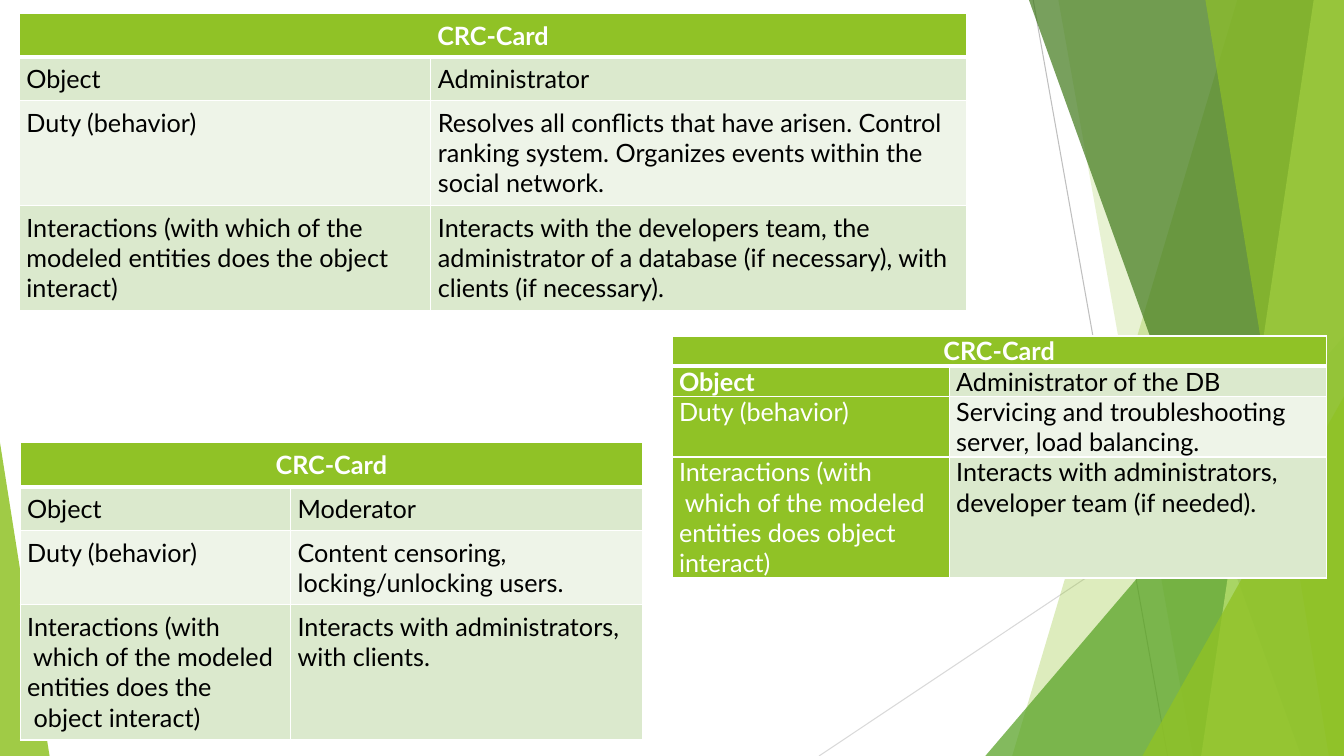
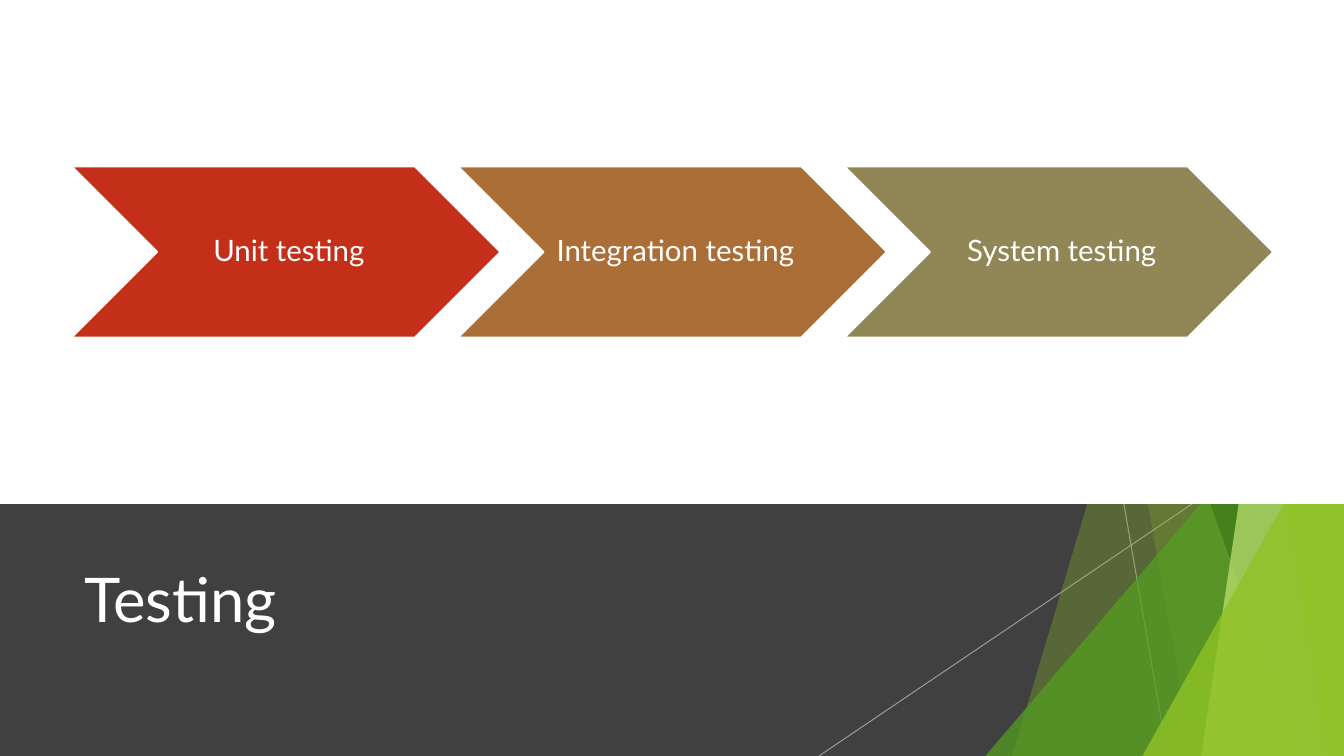
from pptx import Presentation
from pptx.dml.color import RGBColor
from pptx.enum.shapes import MSO_CONNECTOR, MSO_SHAPE
from pptx.enum.text import MSO_ANCHOR, PP_ALIGN
from pptx.oxml import parse_xml
from pptx.oxml.ns import nsdecls, qn
from pptx.oxml.xmlchemy import OxmlElement
from pptx.util import Inches, Pt

COLUMNS, ROWS = 160, 90  # square grid, twelve units to the inch

WHITE = RGBColor(0xFF, 0xFF, 0xFF)
BLACK = RGBColor(0x00, 0x00, 0x00)
LIME = RGBColor(0x90, 0xC2, 0x26)
PALE_LIME = RGBColor(0xC0, 0xE4, 0x74)
GREEN = RGBColor(0x54, 0xA0, 0x21)
DARK_GREEN = RGBColor(0x3F, 0x78, 0x19)
BAND_DARK = RGBColor(0xDB, 0xE9, 0xCD)
BAND_LIGHT = RGBColor(0xEE, 0xF4, 0xE8)
CHARCOAL = RGBColor(0x40, 0x40, 0x40)
GREY = RGBColor(0xBF, 0xBF, 0xBF)
LIGHT_GREY = RGBColor(0xD9, 0xD9, 0xD9)
RED = RGBColor(0xC4, 0x2F, 0x1A)
BROWN = RGBColor(0xAB, 0x6E, 0x37)
OLIVE = RGBColor(0x91, 0x86, 0x55)

FONT = "Lato"
CELL_INSETS = {"margin_left": 0.84, "margin_right": 0.84}
STEP_INSETS = {"margin_left": 1.1, "margin_right": 0.4,
               "margin_top": 0.4, "margin_bottom": 0.4}


def grid(units):
    return Inches(units / 12)


def apply(target, formats):
    for name, value in formats.items():
        setattr(target, name, value)


def apply_lengths(target, lengths):
    apply(target, {name: grid(units) for name, units in lengths.items()})


def set_opacity(shape, percent):
    for colour in shape._element.spPr.iter(qn("a:srgbClr")):
        alpha = OxmlElement("a:alpha")
        alpha.set("val", str(percent * 1000))
        colour.append(alpha)


def set_borders(cell, top, bottom):
    """Give a cell white borders; top and bottom are widths in points."""
    properties = cell._tc.get_or_add_tcPr()
    sides = {"lnL": 1, "lnR": 1, "lnT": top, "lnB": bottom}
    for position, (side, width) in enumerate(sides.items()):
        properties.insert(position, parse_xml(
            f'<a:{side} {nsdecls("a")} w="{Pt(width)}"><a:solidFill>'
            f'<a:srgbClr val="{WHITE}"/></a:solidFill></a:{side}>'))


class Deck:
    """Holds the deck's style and the slide being filled."""

    def __init__(self):
        self.presentation = Presentation()
        apply_lengths(self.presentation,
                      {"slide_width": COLUMNS, "slide_height": ROWS})
        self.slide = None

    def new_slide(self):
        blank = self.presentation.slide_layouts[6]
        self.slide = self.presentation.slides.add_slide(blank)

    def put_text(self, frame, text, size, colour, bold=False,
                 align=PP_ALIGN.LEFT):
        frame.text = text
        paragraph = frame.paragraphs[0]
        paragraph.alignment = align
        for run in paragraph.runs:
            apply(run.font, {"name": FONT, "size": Pt(size), "bold": bold})
            run.font.color.rgb = colour
        return paragraph

    def paint(self, shape, colour, opacity=100):
        shape.shadow.inherit = False
        shape.fill.solid()
        shape.fill.fore_color.rgb = colour
        shape.line.fill.background()
        if opacity < 100:
            set_opacity(shape, opacity)

    def block(self, kind, box, colour, opacity=100):
        shape = self.slide.shapes.add_shape(kind, *map(grid, box))
        self.paint(shape, colour, opacity)
        return shape

    def ray(self, start, end, colour, opacity=100):
        ray = self.slide.shapes.add_connector(
            MSO_CONNECTOR.STRAIGHT, *map(grid, start + end))
        ray.line.color.rgb = colour
        ray.line.width = Pt(0.75)
        ray._element.spPr.append(OxmlElement("a:effectLst"))
        if opacity < 100:
            set_opacity(ray, opacity)

    def shard(self, top, bottom, colour, opacity):
        """Fill from a slanted left edge to the slide's right edge."""
        corners = [(top, 0), (COLUMNS, 0), (COLUMNS, ROWS), (bottom, ROWS)]
        points = [(grid(x), grid(y)) for x, y in corners]
        outline = self.slide.shapes.build_freeform(*points[0])
        outline.add_line_segments(points[1:], close=True)
        self.paint(outline.convert_to_shape(), colour, opacity)

    def corner(self, left, top, colour, opacity):
        """Right triangle in the bottom right corner of the slide."""
        box = (left, top, COLUMNS - left, ROWS - top)
        triangle = self.block(MSO_SHAPE.ISOSCELES_TRIANGLE, box, colour, opacity)
        triangle.adjustments[0] = 1

    def facets(self):
        self.shard(147.3, 120.5, LIME, 30)
        self.shard(126, 142, LIME, 20)
        self.corner(117.3, 40, GREEN, 72)
        self.shard(122.5, 154.9, DARK_GREEN, 70)
        self.shard(156.4, 143, PALE_LIME, 70)
        self.shard(143.5, 158.2, LIME, 65)
        self.corner(136, 47.2, LIME, 80)

    def crc_card(self, origin, widths, heights, answers, inset=0.8,
                 green_labels=False):
        """Table with a merged heading and rows of label and answer."""
        box = (*origin, sum(widths), sum(heights))
        table = self.slide.shapes.add_table(
            len(heights), len(widths), *map(grid, box)).table
        table.horz_banding = False
        for column, width in zip(table.columns, widths):
            column.width = grid(width)
        for row, height in zip(table.rows, heights):
            row.height = grid(height)
        table.cell(0, 0).merge(table.cell(0, 1))
        insets = {**CELL_INSETS, "margin_top": inset, "margin_bottom": inset}
        for r, texts in enumerate([("CRC-Card", ""), *answers]):
            for c, text in enumerate(texts):
                cell = table.cell(r, c)
                heading = r == 0
                on_green = heading or (green_labels and c == 0)
                apply_lengths(cell, insets)
                cell.fill.solid()
                cell.fill.fore_color.rgb = (
                    LIME if on_green else BAND_DARK if r % 2 else BAND_LIGHT)
                set_borders(cell, 3 if r == 1 else 1, 3 if heading else 1)
                if text:
                    self.put_text(
                        cell.text_frame, text, 18,
                        WHITE if on_green else BLACK,
                        bold=on_green and r < 2,
                        align=PP_ALIGN.CENTER if heading else PP_ALIGN.LEFT)

    def title(self, text, box):
        frame = self.slide.shapes.add_textbox(*map(grid, box)).text_frame
        apply(frame, {"word_wrap": True, "vertical_anchor": MSO_ANCHOR.MIDDLE})
        self.put_text(frame, text, 44, WHITE)

    def step(self, text, box, colour):
        chevron = self.block(MSO_SHAPE.CHEVRON, box, colour)
        chevron.line.color.rgb = WHITE
        chevron.line.width = Pt(1.5)
        frame = chevron.text_frame
        apply(frame, {"word_wrap": True, "vertical_anchor": MSO_ANCHOR.MIDDLE})
        apply_lengths(frame, STEP_INSETS)
        label = self.put_text(frame, text, 21, WHITE, align=PP_ALIGN.CENTER)
        label.line_spacing = 0.9


def add_cards_slide(deck):
    deck.new_slide()
    deck.ray((123, 0), (139, ROWS), GREY)
    deck.ray((COLUMNS, 48.3), (97.5, ROWS), LIGHT_GREY)
    deck.facets()
    left_corner = deck.block(MSO_SHAPE.ISOSCELES_TRIANGLE,
                             (0, 52.7, 5.9, 37.3), LIME, 85)
    left_corner.adjustments[0] = 0

    deck.crc_card((2.3, 1.6), (49, 63.8), (5.2, 5.2, 12.5, 12.5), [
        ("Object", "Administrator"),
        ("Duty (behavior)",
         "Resolves all conflicts that have arisen. Control ranking system. "
         "Organizes events within the social network."),
        ("Interactions (with which of the modeled entities does the object "
         "interact)",
         "Interacts with the developers team, the administrator of a database "
         "(if necessary), with clients (if necessary)."),
    ])
    deck.crc_card((2.4, 52.7), (32.2, 41.9), (5.3, 5.2, 8.8, 16.1), [
        ("Object", "Moderator"),
        ("Duty (behavior)", "Content censoring, locking/unlocking users."),
        ("Interactions (with\v which of the modeled\ventities does the\v"
         " object interact)",
         "Interacts with administrators, with clients."),
    ])
    deck.crc_card((80, 40), (33, 44.9), (3.6, 3.6, 7.2, 14.4), [
        ("Object", "Administrator of the DB"),
        ("Duty (behavior)",
         "Servicing and troubleshooting server, load balancing."),
        ("Interactions (with\v which of the modeled\ventities does object\v"
         "interact)",
         "Interacts with administrators, developer team (if needed)."),
    ], inset=0, green_labels=True)


def add_testing_slide(deck):
    deck.new_slide()
    horizon = 60
    deck.block(MSO_SHAPE.RECTANGLE,
               (0, horizon, COLUMNS, ROWS - horizon), CHARCOAL)
    deck.ray((133.8, horizon), (139, ROWS), GREY, 70)
    deck.ray((141.9, horizon), (97.5, ROWS), GREY, 70)
    deck.facets()
    deck.title("Testing", (8.9, 62.5, 112.8, 17.3))
    deck.block(MSO_SHAPE.RECTANGLE, (0, 0, COLUMNS, horizon), WHITE)
    steps = [("Unit testing", RED), ("Integration testing", BROWN),
             ("System testing", OLIVE)]
    for index, (text, colour) in enumerate(steps):
        deck.step(text, (8.5 + 46 * index, 19.8, 51.1, 20.4), colour)


def main():
    deck = Deck()
    add_cards_slide(deck)
    add_testing_slide(deck)
    deck.presentation.save("out.pptx")


if __name__ == "__main__":
    main()
